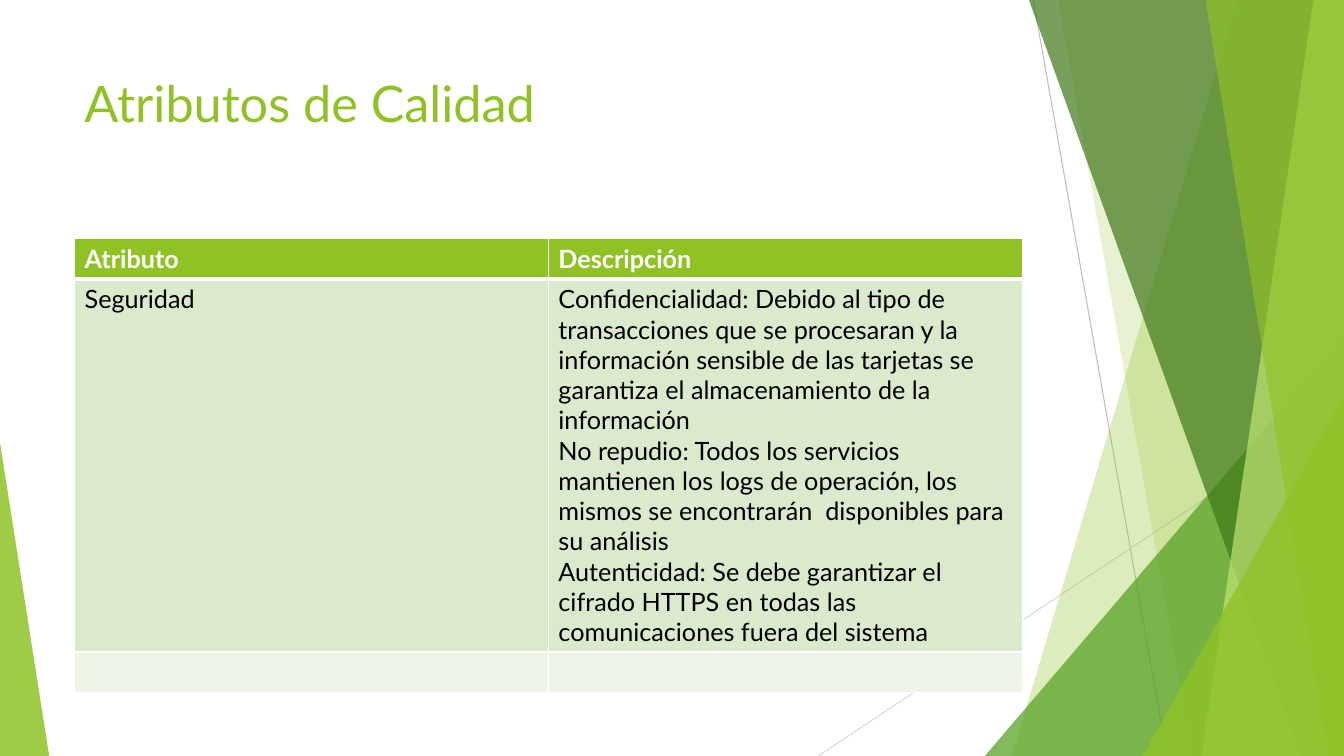
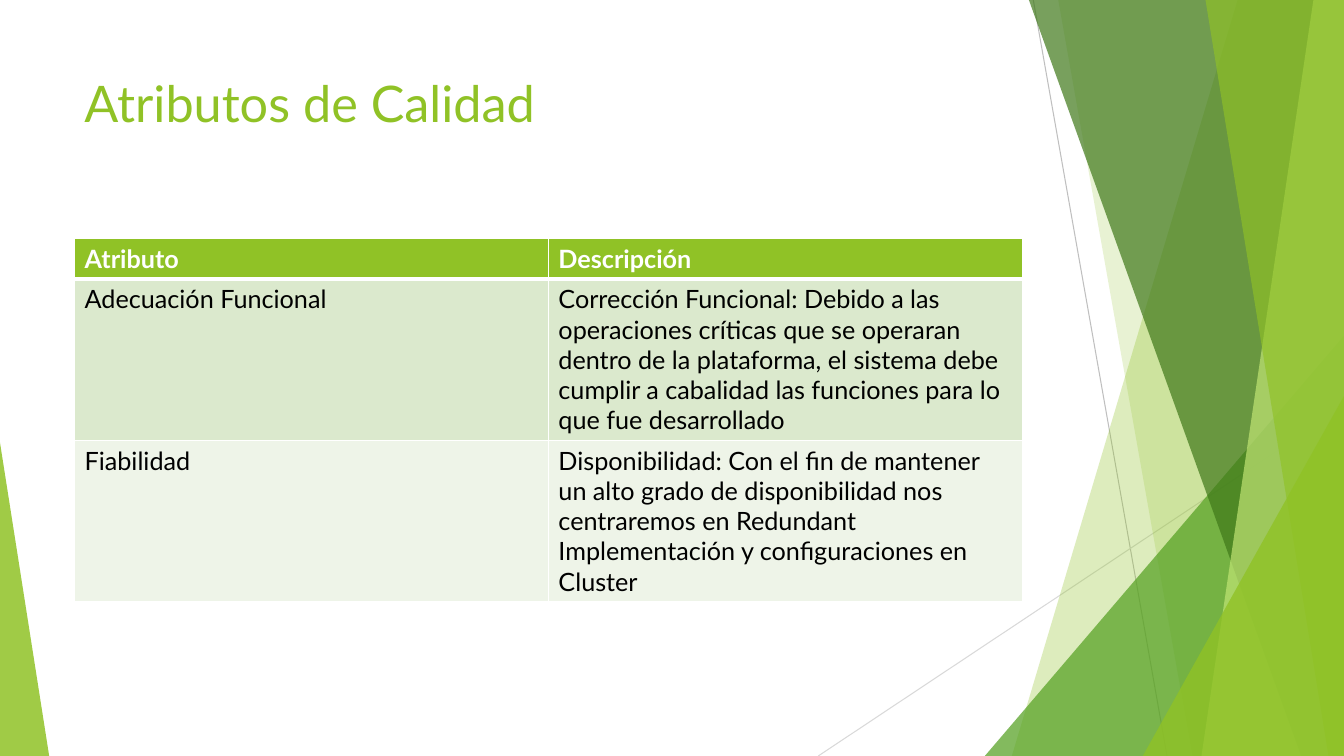
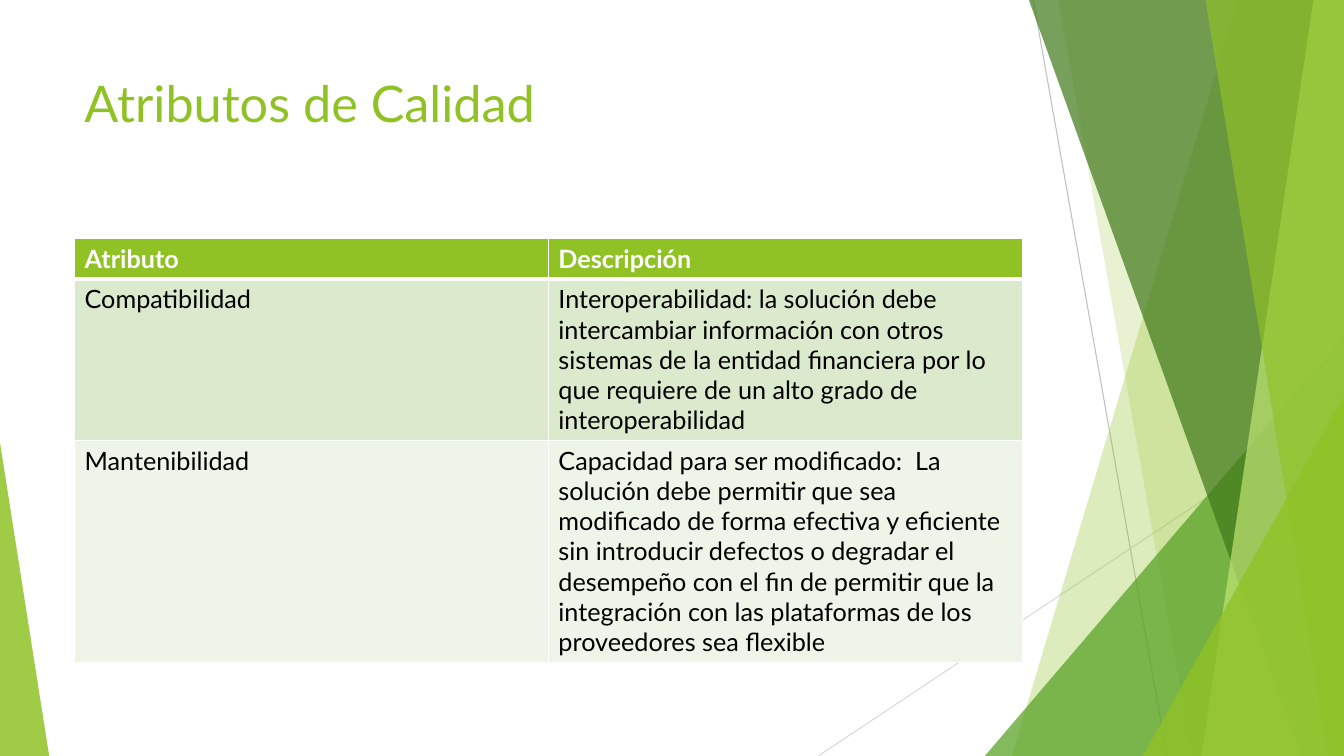
import dataclasses

import pptx
import pptx.dml.color
import pptx.enum.shapes
import pptx.enum.text
import pptx.oxml.ns
import pptx.oxml.xmlchemy
import pptx.presentation
import pptx.shapes.base
import pptx.slide
import pptx.table
import pptx.text.text
import pptx.util
from lxml import etree
from pptx.util import Cm

# Shared look
COLORS = {
    "lime": "90C226",
    "pale_lime": "C0E474",
    "green": "54A021",
    "forest": "3F7819",
    "gray": "BFBFBF",
    "light_gray": "D9D9D9",
    "row_odd": "DBE9CD",
    "row_even": "EEF4E8",
    "white": "FFFFFF",
    "black": "000000",
}
FONT = "Lato"
SLIDE_WIDTH, SLIDE_HEIGHT = Cm(33.87), Cm(19.05)
LEFT, CONTENT_WIDTH = Cm(1.88), Cm(23.88)
TITLE = "Atributos de Calidad"
HEADINGS = ("Atributo", "Descripción")


@dataclasses.dataclass(frozen=True)
class Ray:
    """Thin line across the background."""
    x1: float
    y1: float
    x2: float
    y2: float
    color: str


@dataclasses.dataclass(frozen=True)
class Band:
    """Full-height facet from a slanted edge to the right side."""
    top_x: float
    bottom_x: float
    color: str
    opacity: int


@dataclasses.dataclass(frozen=True)
class Corner:
    """Triangle standing on the bottom edge."""
    left: float
    top: float
    width: float
    apex: float
    color: str
    opacity: int


@dataclasses.dataclass(frozen=True)
class Attribute:
    """Table row; lines is the number of text lines it holds."""
    name: str = ""
    description: str = ""
    lines: int = 1


RAYS = (
    Ray(26.04, 0, 29.41, 19.05, "gray"),
    Ray(33.87, 10.24, 20.62, 19.05, "light_gray"),
)
FACETS = (
    Band(31.19, 25.5, "lime", 30),
    Band(26.67, 30.05, "lime", 20),
    Corner(24.82, 8.46, 9.05, 1, "green", 72),
    Band(25.93, 32.79, "forest", 70),
    Band(33.1, 30.28, "pale_lime", 70),
    Band(30.38, 33.48, "lime", 65),
    Corner(28.8, 9.98, 5.07, 1, "lime", 80),
    Corner(0, 11.15, 1.24, 0, "lime", 85),
)

# Content: one tuple of attributes per slide
PAGES = (
    (
        Attribute(
            "Seguridad",
            "Confidencialidad: Debido al tipo de transacciones que se procesaran y la "
            "información sensible de las tarjetas se garantiza el almacenamiento de la "
            "información\n"
            "No repudio: Todos los servicios mantienen los logs de operación, los mismos "
            "se encontrarán  disponibles para su análisis\n"
            "Autenticidad: Se debe garantizar el cifrado HTTPS en todas las "
            "comunicaciones fuera del sistema",
            12,
        ),
        Attribute(),
    ),
    (
        Attribute(
            "Adecuación Funcional",
            "Corrección Funcional: Debido a las operaciones críticas que se operaran "
            "dentro de la plataforma, el sistema debe cumplir a cabalidad las funciones "
            "para lo que fue desarrollado",
            5,
        ),
        Attribute(
            "Fiabilidad",
            "Disponibilidad: Con el fin de mantener un alto grado de disponibilidad nos "
            "centraremos en Redundant Implementación y configuraciones en Cluster",
            5,
        ),
    ),
    (
        Attribute(
            "Compatibilidad",
            "Interoperabilidad: la solución debe intercambiar información con otros "
            "sistemas de la entidad financiera por lo que requiere de un alto grado de "
            "interoperabilidad",
            5,
        ),
        Attribute(
            "Mantenibilidad",
            "Capacidad para ser modificado:  La solución debe permitir que sea modificado "
            "de forma efectiva y eficiente sin introducir defectos o degradar el desempeño "
            "con el fin de permitir que la integración con las plataformas de los "
            "proveedores sea flexible",
            7,
        ),
    ),
)


def rgb(name: str) -> pptx.dml.color.RGBColor:
    return pptx.dml.color.RGBColor.from_string(COLORS[name])


def add_child(parent: etree.ElementBase, tag: str, **attributes: str) -> etree.ElementBase:
    child = etree.SubElement(parent, pptx.oxml.ns.qn(tag))
    for key, value in attributes.items():
        child.set(key, value)
    return child


def write_text(
    frame: pptx.text.text.TextFrame,
    text: str,
    *,
    size: float = 18,
    color: str = "black",
    bold: bool = False,
) -> None:
    """Write one paragraph per line of text."""
    frame.word_wrap = True
    for index, line in enumerate(text.split("\n")):
        paragraph = frame.add_paragraph() if index else frame.paragraphs[0]
        paragraph.alignment = pptx.enum.text.PP_ALIGN.LEFT
        paragraph.font.size = pptx.util.Pt(size)
        if line:
            run = paragraph.add_run()
            run.text = line
            run.font.name = FONT
            run.font.size = pptx.util.Pt(size)
            run.font.bold = bold
            run.font.color.rgb = rgb(color)


# Background
def add_ray(slide: pptx.slide.Slide, ray: Ray) -> None:
    line = slide.shapes.add_connector(
        pptx.enum.shapes.MSO_CONNECTOR.STRAIGHT,
        Cm(ray.x1), Cm(ray.y1), Cm(ray.x2), Cm(ray.y2),
    )
    line.line.color.rgb = rgb(ray.color)
    line.line.width = pptx.util.Pt(0.75)
    add_child(line._element.spPr, "a:effectLst")


def add_facet(slide: pptx.slide.Slide, facet: Band | Corner) -> None:
    if isinstance(facet, Band):
        outline = slide.shapes.build_freeform(Cm(facet.top_x), 0)
        outline.add_line_segments(
            [(SLIDE_WIDTH, 0), (SLIDE_WIDTH, SLIDE_HEIGHT), (Cm(facet.bottom_x), SLIDE_HEIGHT)]
        )
        shape = outline.convert_to_shape()
    else:
        shape = slide.shapes.add_shape(
            pptx.enum.shapes.MSO_SHAPE.ISOSCELES_TRIANGLE,
            Cm(facet.left), Cm(facet.top), Cm(facet.width), SLIDE_HEIGHT - Cm(facet.top),
        )
        shape.adjustments[0] = facet.apex
    shape.shadow.inherit = False
    shape.line.fill.background()
    shape.fill.solid()
    shape.fill.fore_color.rgb = rgb(facet.color)
    fill_color = next(shape._element.spPr.iter(pptx.oxml.ns.qn("a:srgbClr")))
    add_child(fill_color, "a:alpha", val=str(facet.opacity * 1000))


# Title
def add_title(slide: pptx.slide.Slide) -> None:
    title = slide.shapes.add_textbox(LEFT, Cm(1.7), CONTENT_WIDTH, Cm(3.66))
    write_text(title.text_frame, TITLE, size=36, color="lime")


# Table
def style_cell(cell: pptx.table._Cell, fill: str, *, top: int = 1, bottom: int = 1) -> None:
    """Set white borders (widths in points) and then the fill."""
    properties = cell._tc.get_or_add_tcPr()
    for side, width in (("L", 1), ("R", 1), ("T", top), ("B", bottom)):
        border = add_child(properties, f"a:ln{side}", w=str(pptx.util.Pt(width)))
        add_child(add_child(border, "a:solidFill"), "a:srgbClr", val=COLORS["white"])
    cell.fill.solid()
    cell.fill.fore_color.rgb = rgb(fill)


def add_attribute_table(slide: pptx.slide.Slide, attributes: tuple[Attribute, ...]) -> None:
    heights = [Cm(1.03)] + [Cm(0.25 + 0.76 * item.lines) for item in attributes]
    table = slide.shapes.add_table(
        len(heights), len(HEADINGS), LEFT, Cm(6), CONTENT_WIDTH, sum(heights)
    ).table
    table.horz_banding = False
    texts = [HEADINGS] + [(item.name, item.description) for item in attributes]
    for index, (height, row_texts) in enumerate(zip(heights, texts)):
        table.rows[index].height = height
        is_header = index == 0
        fill = "lime" if is_header else "row_odd" if index % 2 else "row_even"
        for cell, text in zip(table.rows[index].cells, row_texts):
            style_cell(cell, fill, top=3 if index == 1 else 1, bottom=3 if is_header else 1)
            write_text(
                cell.text_frame, text,
                color="white" if is_header else "black", bold=is_header,
            )


def main() -> None:
    deck = pptx.Presentation()
    deck.slide_width, deck.slide_height = SLIDE_WIDTH, SLIDE_HEIGHT
    for attributes in PAGES:
        slide = deck.slides.add_slide(deck.slide_layouts[6])
        for ray in RAYS:
            add_ray(slide, ray)
        for facet in FACETS:
            add_facet(slide, facet)
        add_title(slide)
        add_attribute_table(slide, attributes)
    deck.save("out.pptx")


if __name__ == "__main__":
    main()
